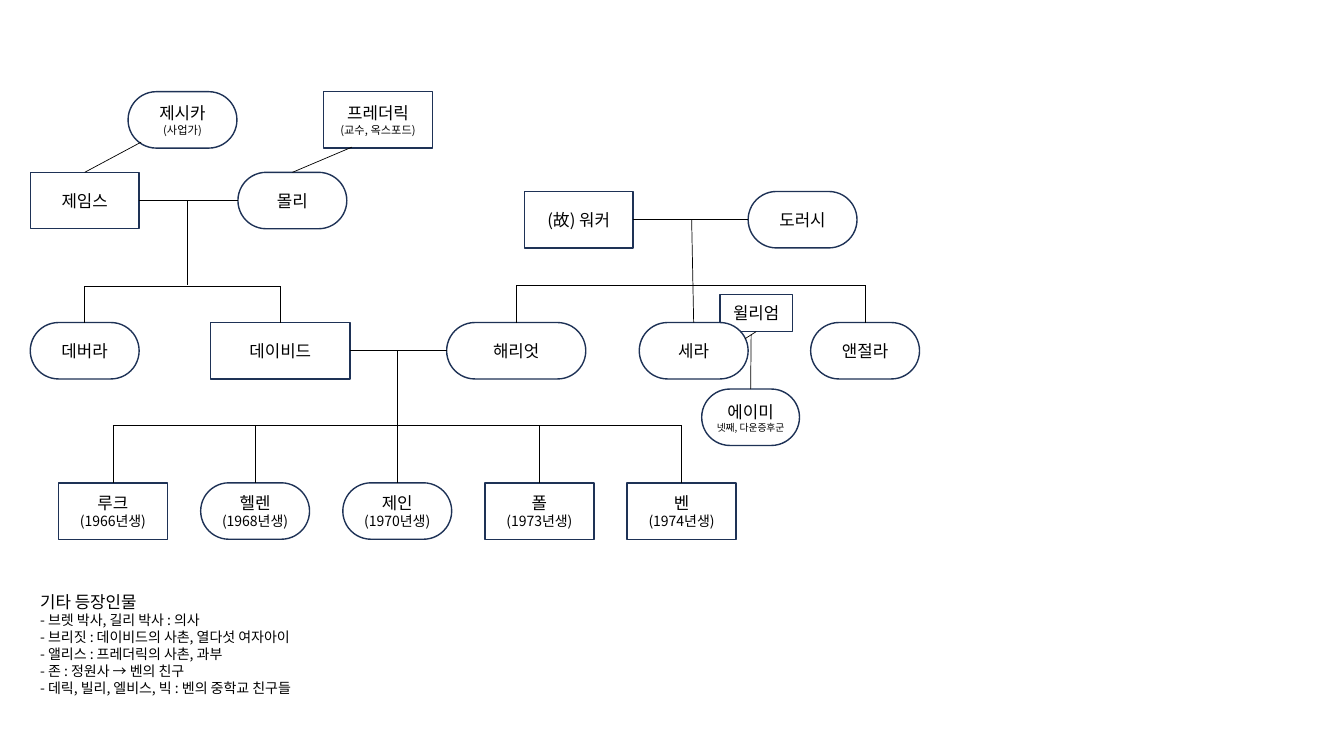
import pptx
import pptx.util
import pptx.dml.color
import pptx.enum.shapes
import pptx.enum.text
import pptx.oxml.ns
import lxml.etree

FONT = "Noto Sans CJK KR"
INK, NAVY, WHITE = "000000", "1E3256", "FFFFFF"
MALE, FEMALE = 0, 0.5  # corner roundness
TOP, LEFT, BOTTOM, RIGHT = range(4)
WIDTH, HEIGHT, WIDE = 1.08, 0.56, 1.38
CHILD_LEFT, CHILD_STEP = 0.58, 1.41

# top of row: (name, corner, left, width, note, note size)
ROWS = {
    0.91: [("제시카", FEMALE, 1.27, WIDTH, "(사업가)", 8),
           ("프레더릭", MALE, 3.21, WIDTH, "(교수, 옥스포드)", 8)],
    1.71: [("제임스", MALE, 0.3, WIDTH, "", 0),
           ("몰리", FEMALE, 2.36, WIDTH, "", 0)],
    1.9: [("(故) 워커", MALE, 5.2, WIDTH, "", 0),
          ("도러시", FEMALE, 7.42, WIDTH, "", 0)],
    2.92: [("윌리엄", MALE, 7.14, 0.72, "", 0)],
    3.2: [("데버라", FEMALE, 0.3, WIDTH, "", 0),
          ("데이비드", MALE, 2.09, WIDE, "", 0),
          ("해리엇", FEMALE, 4.43, WIDE, "", 0),
          ("세라", FEMALE, 6.34, WIDTH, "", 0),
          ("앤절라", FEMALE, 8.04, WIDTH, "", 0)],
    3.86: [("에이미", FEMALE, 6.96, 0.97, "넷째, 다운증후군", 7)],
    4.79: [(name, corner, CHILD_LEFT + i * CHILD_STEP, WIDTH, f"({year}년생)", 10)
           for i, (name, corner, year) in enumerate([
               ("루크", MALE, 1966), ("헬렌", FEMALE, 1968), ("제인", FEMALE, 1970),
               ("폴", MALE, 1973), ("벤", MALE, 1974)])],
}
SHORT_BOXES = {"윌리엄": 0.37}

# husband, wife, height of the children's rail, children hanging from it
FAMILIES = [
    ("제임스", "몰리", 2.84, ["데버라", "데이비드"]),
    ("(故) 워커", "도러시", 2.83, ["해리엇", "앤절라"]),
    ("데이비드", "해리엇", 4.22, ["루크", "헬렌", "폴", "벤"]),
]
# an end is a point, or a name with the side it joins
OTHER_LINES = [
    ((1.86, 1.99), (1.86, 2.83)),
    ((6.86, 2.18), ("세라", TOP)),
    ((3.94, 3.48), ("제인", TOP)),
    (("제임스", TOP), (1.4, 1.41)),
    (("몰리", TOP), (3.49, 1.46)),
    ((7.39, 3.36), (7.5, 3.29)),
    ((7.45, 3.32), ("에이미", TOP)),
]
OTHERS_TITLE = "기타 등장인물"
OTHERS = [
    "- 브렛 박사, 길리 박사 : 의사",
    "- 브리짓 : 데이비드의 사촌, 열다섯 여자아이",
    "- 앨리스 : 프레더릭의 사촌, 과부",
    "- 존 : 정원사 → 벤의 친구",
    "- 데릭, 빌리, 엘비스, 빅 : 벤의 중학교 친구들",
]

inches, points = pptx.util.Inches, pptx.util.Pt


def colour(hex_text):
    return pptx.dml.color.RGBColor.from_string(hex_text)


def write_lines(frame, lines, alignment):
    """Fill a text frame with (text, size) paragraphs."""
    for i, (text, size) in enumerate(lines):
        paragraph = frame.add_paragraph() if i else frame.paragraphs[0]
        paragraph.text = text
        paragraph.alignment = alignment
        font = paragraph.font
        font.size, font.name = points(size), FONT
        font.color.rgb = colour(INK)
        properties = paragraph._p.get_or_add_pPr().find(pptx.oxml.ns.qn("a:defRPr"))
        east_asian = lxml.etree.SubElement(properties, pptx.oxml.ns.qn("a:ea"))
        east_asian.set("typeface", FONT)


def add_person(slide, name, corner, left, top, width, note, note_size):
    shape = slide.shapes.add_shape(
        pptx.enum.shapes.MSO_SHAPE.ROUNDED_RECTANGLE, inches(left), inches(top),
        inches(width), inches(SHORT_BOXES.get(name, HEIGHT)))
    shape.adjustments[0] = corner
    shape.shadow.inherit = False
    shape.fill.solid()
    shape.fill.fore_color.rgb = colour(WHITE)
    shape.line.color.rgb = colour(NAVY)
    shape.line.width = points(1)
    frame = shape.text_frame
    frame.word_wrap = True
    frame.margin_left = frame.margin_right = 0
    frame.vertical_anchor = pptx.enum.text.MSO_ANCHOR.MIDDLE
    lines = [(name, 12)] + ([(note, note_size)] if note else [])
    write_lines(frame, lines, pptx.enum.text.PP_ALIGN.CENTER)
    return shape


def add_line(slide, people, begin, end):
    ends = [(0, 0) if isinstance(p[0], str) else p for p in (begin, end)]
    line = slide.shapes.add_connector(
        pptx.enum.shapes.MSO_CONNECTOR.STRAIGHT,
        *[inches(value) for point in ends for value in point])
    for point, connect in ((begin, line.begin_connect), (end, line.end_connect)):
        if isinstance(point[0], str):
            connect(people[point[0]], point[1])
    line.line.color.rgb = colour(INK)
    line.line.width = points(0.5)
    lxml.etree.SubElement(line._element.spPr, pptx.oxml.ns.qn("a:effectLst"))


def add_family(slide, people, husband, wife, rail, children):
    add_line(slide, people, (husband, RIGHT), (wife, LEFT))
    centres = [(people[c].left + people[c].width / 2) / inches(1) for c in children]
    add_line(slide, people, (centres[0], rail), (centres[-1], rail))
    for child, centre in zip(children, centres):
        add_line(slide, people, (centre, rail), (child, TOP))


def main():
    presentation = pptx.Presentation()
    presentation.slide_width, presentation.slide_height = inches(13.33), inches(7.5)
    slide = presentation.slides.add_slide(presentation.slide_layouts[6])
    people = {}
    for top, row in ROWS.items():
        for name, corner, left, width, note, size in row:
            people[name] = add_person(slide, name, corner, left, top, width, note, size)
    for family in FAMILIES:
        add_family(slide, people, *family)
    for begin, end in OTHER_LINES:
        add_line(slide, people, begin, end)
    box = slide.shapes.add_textbox(inches(0.3), inches(5.82), inches(3.02), inches(1.14))
    box.text_frame.word_wrap = False
    box.text_frame.auto_size = pptx.enum.text.MSO_AUTO_SIZE.SHAPE_TO_FIT_TEXT
    write_lines(box.text_frame, [(OTHERS_TITLE, 12)] + [(text, 10) for text in OTHERS],
                pptx.enum.text.PP_ALIGN.LEFT)
    presentation.save("out.pptx")


if __name__ == "__main__":
    main()
